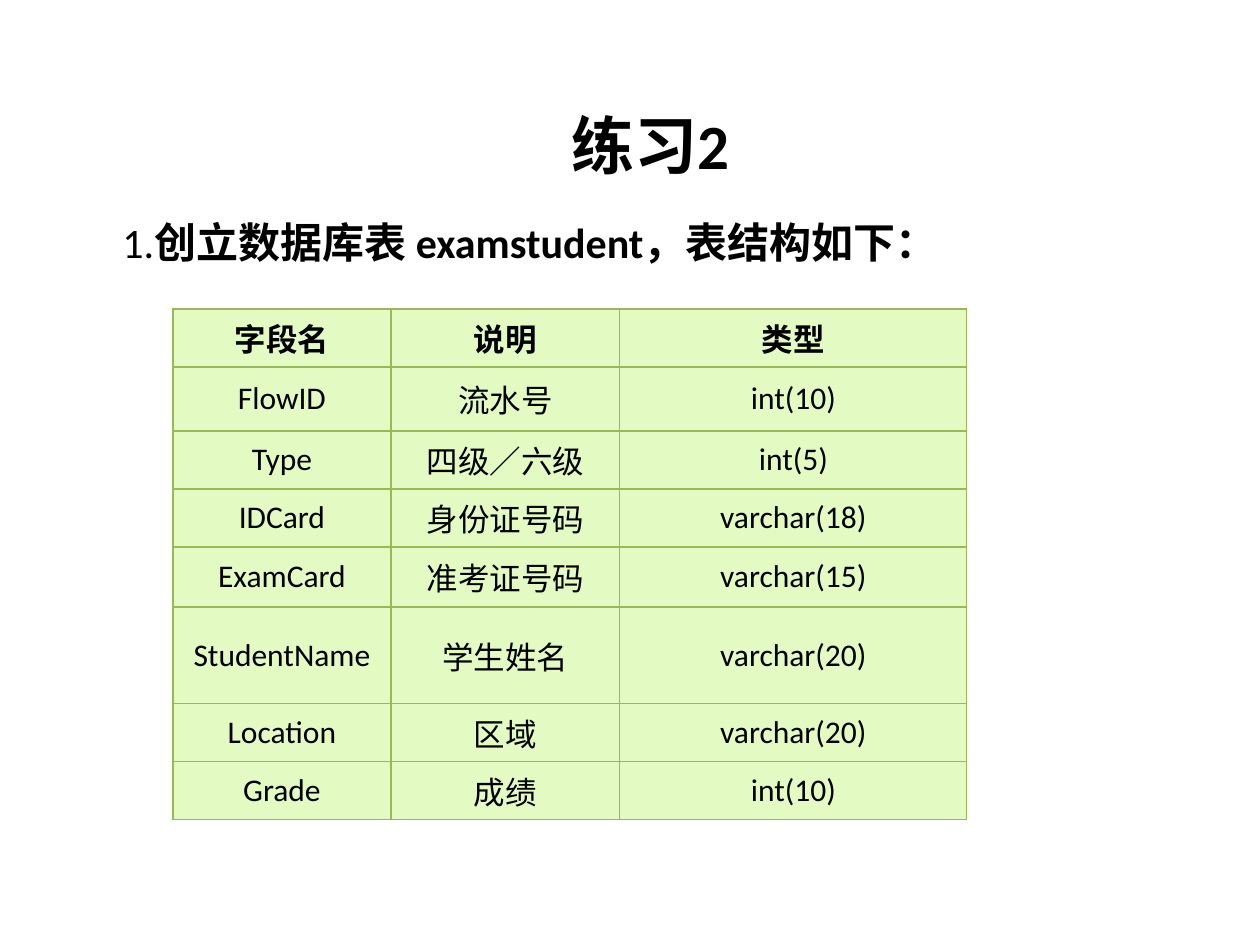
from lxml import etree
from pptx import Presentation
from pptx import util as u
from pptx.dml.color import RGBColor
from pptx.enum import text
from pptx.oxml.ns import qn

PX = u.Inches(1) // 126
BLACK = RGBColor(0x00, 0x00, 0x00)
WHITE = RGBColor(0xFF, 0xFF, 0xFF)
PALE_GREEN = RGBColor(0xE3, 0xFA, 0xC3)
GREEN = RGBColor(0x98, 0xB9, 0x55)

COLUMN_WIDTHS = [218, 229, 347]
ROW_HEIGHTS = [58, 64, 58, 58, 60, 97, 58, 58]
FIELDS = [
    ("字段名", "说明", "类型"),
    ("FlowID", "流水号", "int(10)"),
    ("Type", "四级／六级", "int(5)"),
    ("IDCard", "身份证号码", "varchar(18)"),
    ("ExamCard", "准考证号码", "varchar(15)"),
    ("StudentName", "学生姓名", "varchar(20)"),
    ("Location", "区域", "varchar(20)"),
    ("Grade", "成绩", "int(10)"),
]


def px(*lengths):
    return [length * PX for length in lengths]


def add_span(para, words, size, bold=False):
    span = para.add_run()
    span.text = words
    formats = {"name": "Calibri", "size": u.Pt(size), "bold": bold}
    for name, value in formats.items():
        setattr(span.font, name, value)
    span.font.color.rgb = BLACK


def add_text(page, place, spans, size, **formats):
    """Add a one-paragraph text box; spans are (words, bold) pairs."""
    box = page.shapes.add_textbox(*px(*place))
    frame = box.text_frame
    frame.word_wrap = True
    para = frame.paragraphs[0]
    for name, value in formats.items():
        setattr(frame if name == "vertical_anchor" else para, name, value)
    for words, bold in spans:
        add_span(para, words, size, bold)


def set_borders(cell):
    properties = cell._tc.get_or_add_tcPr()
    for position, side in enumerate(("lnL", "lnR", "lnT", "lnB")):
        line = etree.Element(qn(f"a:{side}"), w=str(u.Pt(0.75)))
        fill = etree.SubElement(line, qn("a:solidFill"))
        etree.SubElement(fill, qn("a:srgbClr"), val=str(GREEN))
        properties.insert(position, line)


def fill_cell(cell, words, bold):
    cell.fill.solid()
    cell.fill.fore_color.rgb = PALE_GREEN
    cell.vertical_anchor = text.MSO_ANCHOR.MIDDLE
    set_borders(cell)
    para = cell.text_frame.paragraphs[0]
    para.alignment = text.PP_ALIGN.CENTER
    # Hanging indent
    indent = u.Inches(0.38)
    properties = para._p.get_or_add_pPr()
    properties.set("marL", str(indent))
    properties.set("indent", str(-indent))
    add_span(para, words, 18, bold)


def add_field_table(page, left, top):
    size = px(left, top, sum(COLUMN_WIDTHS), sum(ROW_HEIGHTS))
    table = page.shapes.add_table(len(FIELDS), len(COLUMN_WIDTHS), *size).table
    table.horz_banding = False
    for column, width in zip(table.columns, px(*COLUMN_WIDTHS)):
        column.width = width
    for row, height in zip(table.rows, px(*ROW_HEIGHTS)):
        row.height = height
    for r, field in enumerate(FIELDS):
        for c, words in enumerate(field):
            fill_cell(table.cell(r, c), words, bold=r == 0)


def main():
    deck = Presentation()
    deck.slide_width, deck.slide_height = px(1260, 945)
    page = deck.slides.add_slide(deck.slide_layouts[6])
    page.background.fill.solid()
    page.background.fill.fore_color.rgb = WHITE

    # Title
    add_text(page, (541, 77, 218, 135), [("练习2", True)], 36,
             alignment=text.PP_ALIGN.CENTER,
             vertical_anchor=text.MSO_ANCHOR.MIDDLE)
    # Table structure
    add_field_table(page, 173, 309)
    # Task
    add_text(page, (110, 210, 942, 63),
             [("1.", False), ("创立数据库表 examstudent，表结构如下：", True)], 24)

    deck.save("out.pptx")


if __name__ == "__main__":
    main()
